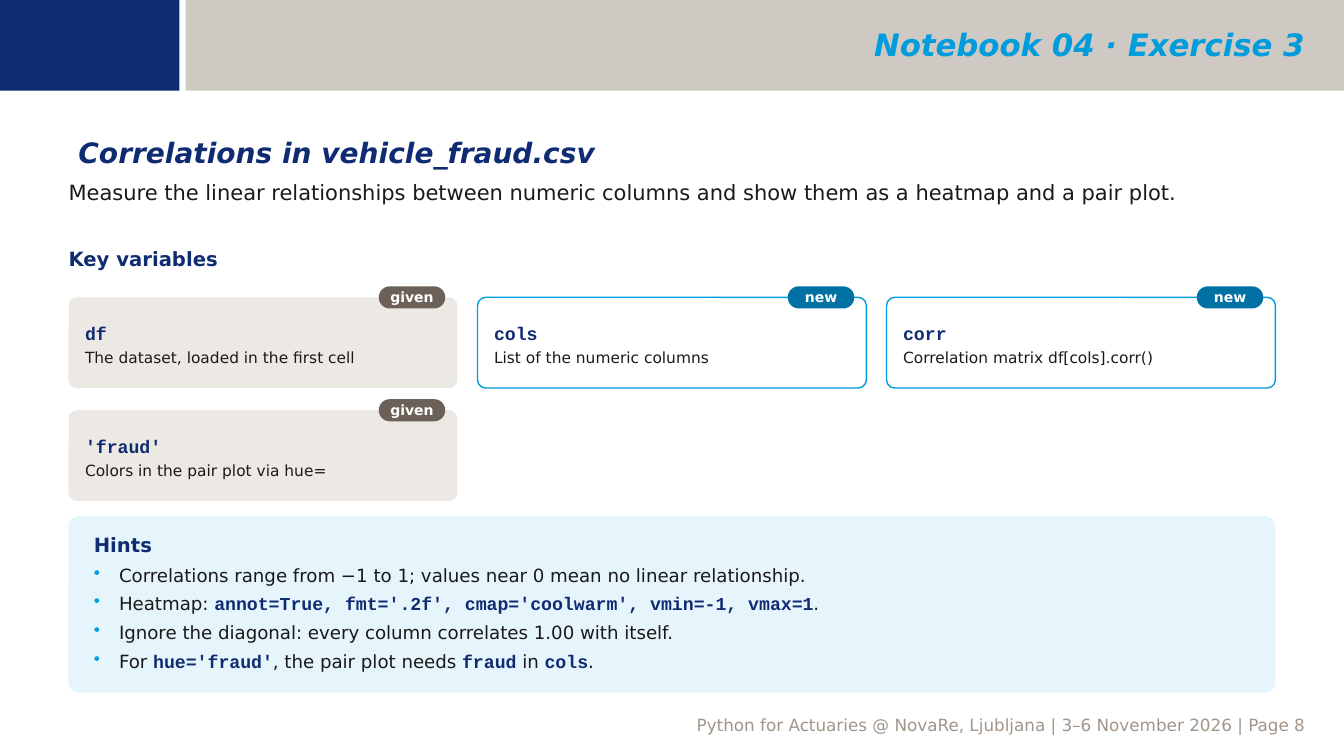
from dataclasses import dataclass

from lxml.etree import SubElement
from pptx import Presentation
from pptx.dml.color import RGBColor
from pptx.enum.shapes import MSO_SHAPE
from pptx.enum.text import MSO_ANCHOR, MSO_AUTO_SIZE, PP_ALIGN
from pptx.oxml.ns import qn
from pptx.shapes.autoshape import Shape
from pptx.slide import Slide
from pptx.text.text import Font, TextFrame, _Paragraph
from pptx.util import Inches, Pt

NAVY = RGBColor(0x0F, 0x2B, 0x72)
CORNER_NAVY = RGBColor(0x0F, 0x2C, 0x73)
SKY = RGBColor(0x00, 0x9C, 0xDB)
TEAL = RGBColor(0x00, 0x71, 0xA3)
PALE_SKY = RGBColor(0xE6, 0xF5, 0xFB)
TAUPE = RGBColor(0xA1, 0x95, 0x89)
DARK_TAUPE = RGBColor(0x6B, 0x61, 0x58)
PALE_TAUPE = RGBColor(0xEC, 0xE9, 0xE5)
INK = RGBColor(0x1A, 0x1A, 0x1A)
WHITE = RGBColor(0xFF, 0xFF, 0xFF)

SANS = "DejaVu Sans"
MONO = "Courier New"

LEFT, CONTENT_WIDTH = 0.68, 11.97
COLUMNS, COLUMN_GAP = 3, 0.2
CARD_WIDTH = (CONTENT_WIDTH - COLUMN_GAP * (COLUMNS - 1)) / COLUMNS
CARD_TOP, CARD_HEIGHT, ROW_PITCH = 2.95, 0.9, 1.12
BADGE_WIDTH, BADGE_HEIGHT, BADGE_INSET = 0.66, 0.22, 0.12


@dataclass(frozen=True)
class Box:
    left: float
    top: float
    width: float
    height: float

    def lengths(self) -> list[Inches]:
        return [Inches(v) for v in (self.left, self.top, self.width, self.height)]


@dataclass(frozen=True)
class Variable:
    name: str
    meaning: str
    is_new: bool = False


VARIABLES = [
    Variable("df", "The dataset, loaded in the first cell"),
    Variable("cols", "List of the numeric columns", is_new=True),
    Variable("corr", "Correlation matrix df[cols].corr()", is_new=True),
    Variable("'fraud'", "Colors in the pair plot via hue="),
]

# Backticks enclose code.
HINTS = [
    "Correlations range from −1 to 1; values near 0 mean no linear relationship.",
    "Heatmap: `annot=True, fmt='.2f', cmap='coolwarm', vmin=-1, vmax=1`.",
    "Ignore the diagonal: every column correlates 1.00 with itself.",
    "For `hue='fraud'`, the pair plot needs `fraud` in `cols`.",
]


def style(font: Font, size: float, color: RGBColor, bold: bool = False,
          italic: bool = False, name: str = SANS) -> None:
    font.name, font.size, font.bold, font.italic = name, Pt(size), bold, italic
    font.color.rgb = color


def set_insets(frame: TextFrame, left: float, top: float, right: float, bottom: float) -> None:
    frame.margin_left, frame.margin_top = Inches(left), Inches(top)
    frame.margin_right, frame.margin_bottom = Inches(right), Inches(bottom)


def add_text(slide: Slide, box: Box, text: str, size: float, color: RGBColor,
             bold: bool = False, italic: bool = False,
             align: PP_ALIGN = PP_ALIGN.LEFT, inset: bool = False) -> None:
    frame = slide.shapes.add_textbox(*box.lengths()).text_frame
    frame.word_wrap = True
    if not inset:
        set_insets(frame, 0, 0, 0, 0)
    frame.text = text
    frame.paragraphs[0].alignment = align
    style(frame.paragraphs[0].runs[0].font, size, color, bold, italic)


def add_panel(slide: Slide, box: Box, fill: RGBColor, corner: float | None = None,
              outline: RGBColor | None = None) -> Shape:
    kind = MSO_SHAPE.RECTANGLE if corner is None else MSO_SHAPE.ROUNDED_RECTANGLE
    panel = slide.shapes.add_shape(kind, *box.lengths())
    panel.shadow.inherit = False
    panel.fill.solid()
    panel.fill.fore_color.rgb = fill
    if corner is not None:
        panel.adjustments[0] = corner
    if outline is None:
        panel.line.fill.background()
    else:
        panel.line.color.rgb = outline
        panel.line.width = Pt(1)
    panel.text_frame.word_wrap = True
    return panel


def add_header(slide: Slide) -> None:
    band = add_panel(slide, Box(1.84, 0, 11.49, 0.9), TAUPE)
    band_color = next(band._element.spPr.iter(qn("a:srgbClr")))
    SubElement(band_color, qn("a:alpha"), val="50000")
    add_panel(slide, Box(0, 0, 1.78, 0.9), CORNER_NAVY)

    title = slide.shapes.title
    title.left, title.top, title.width, title.height = Box(2.02, 0.02, 11.02, 0.84).lengths()
    # Bring the title in front of the band.
    title._element.getparent().append(title._element)
    frame = title.text_frame
    frame.text = "Notebook 04 · Exercise 3"
    frame.auto_size = MSO_AUTO_SIZE.NONE
    frame.vertical_anchor = MSO_ANCHOR.MIDDLE
    frame.paragraphs[0].alignment = PP_ALIGN.RIGHT
    style(frame.paragraphs[0].runs[0].font, 22, SKY, bold=True, italic=True)


def add_variable(slide: Slide, variable: Variable, left: float, top: float) -> None:
    card = add_panel(slide, Box(left, top, CARD_WIDTH, CARD_HEIGHT),
                     WHITE if variable.is_new else PALE_TAUPE, 0.09,
                     SKY if variable.is_new else None)
    frame = card.text_frame
    set_insets(frame, 0.14, 0.1, 0.14, 0.06)
    frame.text = f"{variable.name}\n{variable.meaning}"
    name, meaning = frame.paragraphs
    name.alignment = meaning.alignment = PP_ALIGN.LEFT
    meaning.space_before = Pt(3)
    style(name.runs[0].font, 13, NAVY, bold=True, name=MONO)
    style(meaning.runs[0].font, 11, INK)

    badge_left = left + CARD_WIDTH - BADGE_INSET - BADGE_WIDTH
    badge = add_panel(slide, Box(badge_left, top - BADGE_HEIGHT / 2, BADGE_WIDTH, BADGE_HEIGHT),
                      TEAL if variable.is_new else DARK_TAUPE, 0.5)
    set_insets(badge.text_frame, 0, 0, 0, 0)
    badge.text_frame.text = "new" if variable.is_new else "given"
    label = badge.text_frame.paragraphs[0]
    label.alignment = PP_ALIGN.CENTER
    style(label.runs[0].font, 10, WHITE, bold=True)


def add_bullet(paragraph: _Paragraph) -> None:
    properties = paragraph._p.get_or_add_pPr()
    properties.set("marL", str(Inches(0.25)))
    properties.set("indent", str(Inches(-0.25)))
    bullet_color = SubElement(properties, qn("a:buClr"))
    SubElement(bullet_color, qn("a:srgbClr"), val=str(SKY))
    SubElement(properties, qn("a:buChar"), char="•")


def add_hints(slide: Slide) -> None:
    frame = add_panel(slide, Box(LEFT, 5.12, CONTENT_WIDTH, 1.75), PALE_SKY, 0.06).text_frame
    frame.vertical_anchor = MSO_ANCHOR.TOP
    set_insets(frame, 0.22, 0.14, 0.22, 0.1)
    frame.text = "Hints"
    heading = frame.paragraphs[0]
    heading.alignment = PP_ALIGN.LEFT
    style(heading.runs[0].font, 14, NAVY, bold=True)
    for hint in HINTS:
        paragraph = frame.add_paragraph()
        add_bullet(paragraph)
        paragraph.alignment = PP_ALIGN.LEFT
        paragraph.space_before = Pt(5)
        for index, part in enumerate(hint.split("`")):
            run = paragraph.add_run()
            run.text = part
            if index % 2:
                style(run.font, 13, NAVY, bold=True, name=MONO)
            else:
                style(run.font, 13, INK)


def main() -> None:
    presentation = Presentation()
    presentation.slide_width, presentation.slide_height = Inches(13.33), Inches(7.5)
    slide = presentation.slides.add_slide(presentation.slide_layouts.get_by_name("Title Only"))

    add_text(slide, Box(0.76, 7.05, 12.29, 0.09),
             "Python for Actuaries @ NovaRe, Ljubljana | 3–6 November 2026 | Page 8",
             12, TAUPE, align=PP_ALIGN.RIGHT, inset=True)
    add_header(slide)
    add_text(slide, Box(LEFT, 1.3, CONTENT_WIDTH, 0.4), "Correlations in vehicle_fraud.csv",
             20, NAVY, bold=True, italic=True, inset=True)
    add_text(slide, Box(LEFT, 1.78, CONTENT_WIDTH, 0.62),
             "Measure the linear relationships between numeric columns "
             "and show them as a heatmap and a pair plot.", 15, INK)
    add_text(slide, Box(LEFT, 2.45, 6, 0.32), "Key variables", 14, NAVY, bold=True)
    for index, variable in enumerate(VARIABLES):
        row, column = divmod(index, COLUMNS)
        add_variable(slide, variable, LEFT + column * (CARD_WIDTH + COLUMN_GAP),
                     CARD_TOP + row * ROW_PITCH)
    add_hints(slide)
    presentation.save("out.pptx")


if __name__ == "__main__":
    main()
